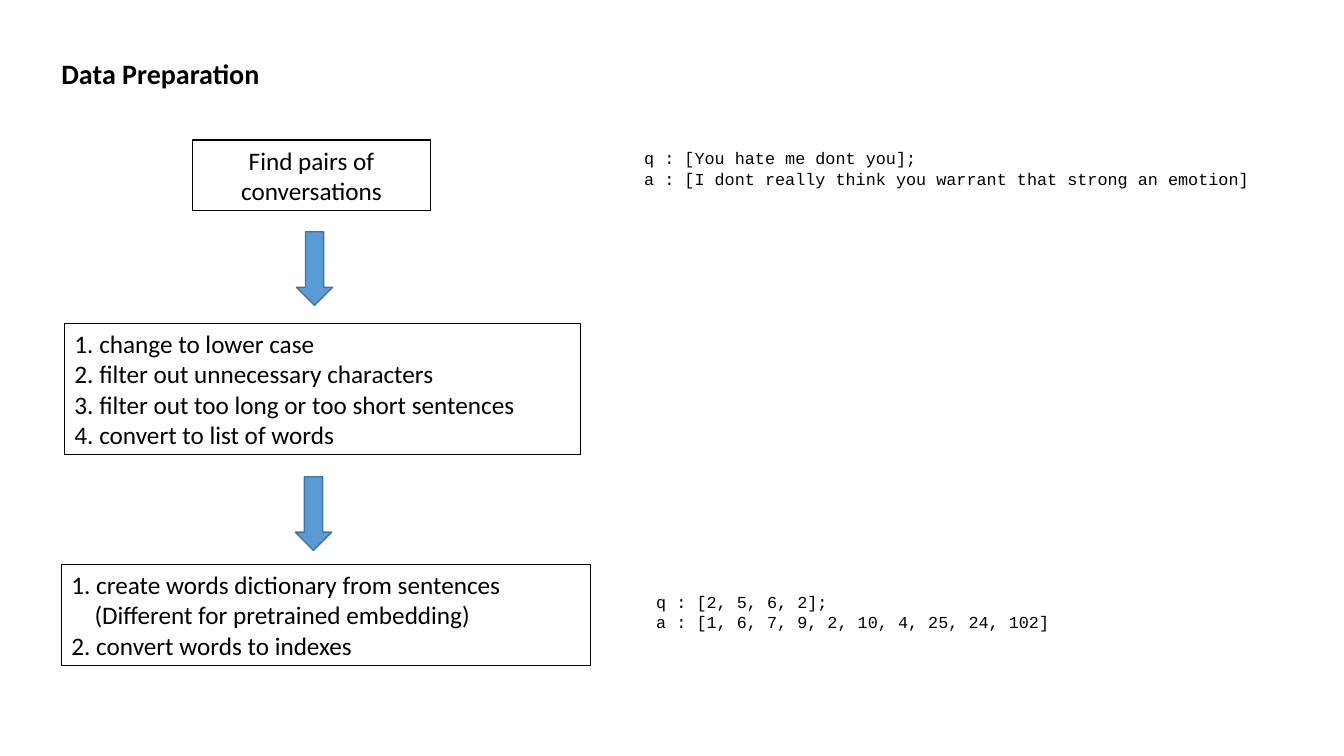
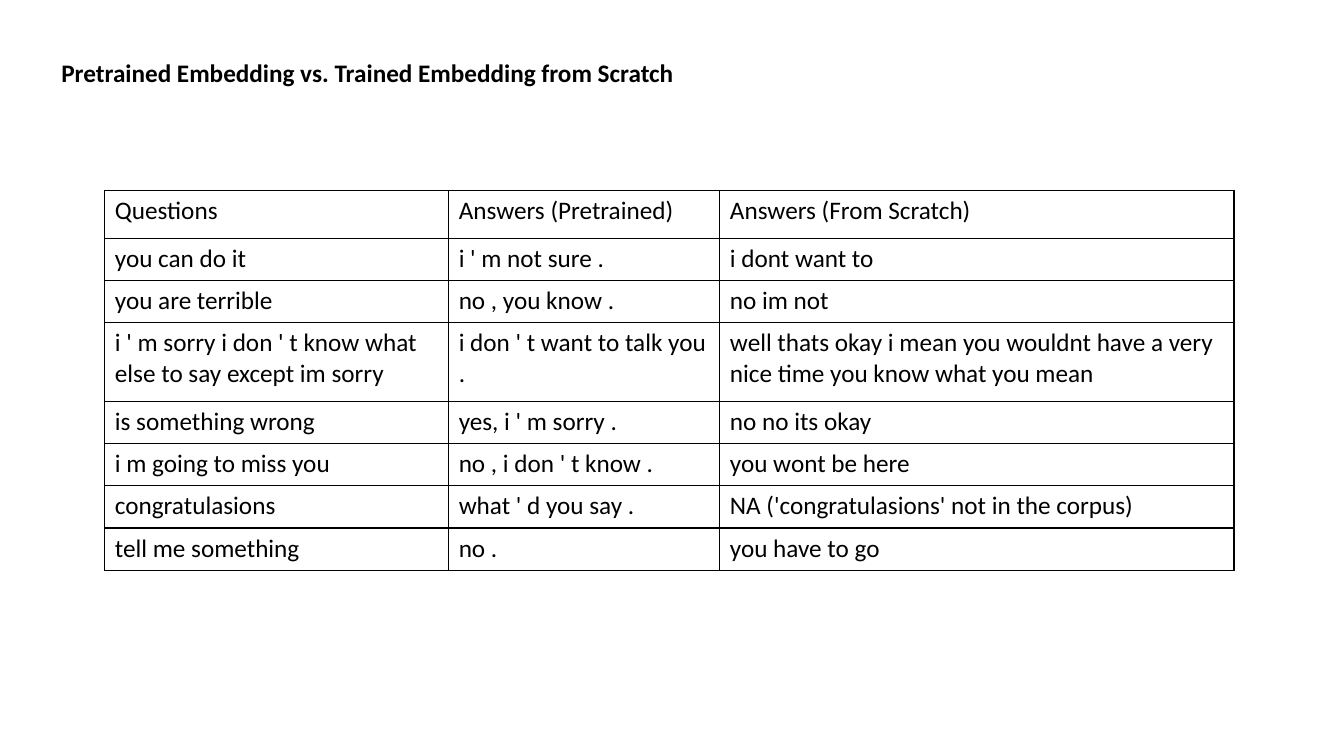
from lxml import etree
from pptx import Presentation
from pptx.dml.color import RGBColor
from pptx.enum.shapes import MSO_SHAPE
from pptx.enum.text import MSO_ANCHOR, MSO_AUTO_SIZE, PP_ALIGN
from pptx.oxml.ns import qn
from pptx.util import Inches, Pt

RECT, DOWN_ARROW = MSO_SHAPE.RECTANGLE, MSO_SHAPE.DOWN_ARROW
LEFT, CENTER = PP_ALIGN.LEFT, PP_ALIGN.CENTER
TOP, GROW = MSO_ANCHOR.TOP, MSO_AUTO_SIZE.SHAPE_TO_FIT_TEXT

COLORS = {"ink": "000000", "paper": "FFFFFF",
          "arrow": "5B9BD5", "arrow_edge": "43739E"}
BODY, CODE = "Calibri", "Courier New"
STEP = 0.1  # inches in one column or row of the grid


def rgb(name):
    return RGBColor.from_string(COLORS[name])


def grid(*counts):
    return [Inches(n * STEP) for n in counts]


class Deck:
    """Shared style and the slide being filled."""

    def __init__(self):
        self.prs = Presentation()
        self.prs.slide_width, self.prs.slide_height = Inches(13.33), Inches(7.5)
        self.s = None

    def slide(self, title, size, row, width):
        self.s = self.prs.slides.add_slide(self.prs.slide_layouts[6])
        self.text((5.1, row, width, 4.2), [title], size=size, bold=True)

    def set_lines(self, tf, lines, size=18, font=BODY, bold=False, align=LEFT):
        tf.word_wrap = True
        tf.text = "\n".join(lines)
        for p in tf.paragraphs:
            p.alignment = align
            for r in p.runs:
                r.font.size, r.font.name, r.font.bold = Pt(size), font, bold
                r.font.color.rgb = rgb("ink")

    def text(self, at, lines, **style):
        tf = self.s.shapes.add_textbox(*grid(*at)).text_frame
        self.set_lines(tf, lines, **style)
        tf.auto_size = GROW

    def shape(self, kind, at, fill, line):
        sp = self.s.shapes.add_shape(kind, *grid(*at))
        sp.shadow.inherit = False
        sp.fill.solid()
        sp.fill.fore_color.rgb = rgb(fill)
        sp.line.color.rgb = rgb(line)
        sp.line.width = Pt(1)
        return sp

    def box(self, at, lines, align=LEFT):
        tf = self.shape(RECT, at, "paper", "ink").text_frame
        self.set_lines(tf, lines, align=align)
        tf.vertical_anchor = TOP
        return tf

    def arrow(self, col, row):
        self.shape(DOWN_ARROW, (col, row, 3.6, 7.3), "arrow", "arrow_edge")

    def border(self, cell):
        props = cell._tc.get_or_add_tcPr()
        for i, side in enumerate(("lnL", "lnR", "lnT", "lnB")):
            ln = etree.Element(qn("a:" + side), w=str(Pt(1)))
            fill = etree.SubElement(ln, qn("a:solidFill"))
            etree.SubElement(fill, qn("a:srgbClr"), val=COLORS["ink"])
            props.insert(i, ln)

    def table(self, left, top, cols, rows, data):
        at = grid(left, top, sum(cols), sum(rows))
        table = self.s.shapes.add_table(len(rows), len(cols), *at).table
        for col, width in zip(table.columns, grid(*cols)):
            col.width = width
        for row, height, values in zip(table.rows, grid(*rows), data):
            row.height = height
            for cell, value in zip(row.cells, values):
                self.set_lines(cell.text_frame, [value])
                cell.fill.solid()
                cell.fill.fore_color.rgb = rgb("paper")
                self.border(cell)


def preparation(deck):
    deck.slide("Data Preparation", 20, 5.1, 26.2)
    # Steps
    deck.box((19.1, 13.9, 23.6, 7), ["Find pairs of conversations"], CENTER)
    deck.box((6.4, 32.1, 51.2, 13), [
        "1. change to lower case",
        "2. filter out unnecessary characters",
        "3. filter out too long or too short sentences",
        "4. convert to list of words"])
    tf = deck.box((6.1, 56, 52.5, 10), [
        "1. create words dictionary from sentences",
        "(Different for pretrained embedding)",
        "2. convert words to indexes"])
    tf.paragraphs[1]._p.get_or_add_pPr().set("marL", str(Inches(0.23)))
    # Arrows between the steps
    for col, row in ((29.4, 23), (29.3, 47.3)):
        deck.arrow(col, row)
    # Sample data beside the first and last step
    for col, row, lines in (
            (62.9, 14.2, [
                "q : [You hate me dont you];",
                "a : [I dont really think you warrant that strong an emotion]"]),
            (64.1, 58.2, [
                "q : [2, 5, 6, 2];",
                "a : [1, 6, 7, 9, 2, 10, 4, 25, 24, 102]"])):
        deck.text((col, row, 62.8, 7), lines, size=12, font=CODE)


def comparison(deck):
    deck.slide("Pretrained Embedding vs. Trained Embedding from Scratch",
               18, 5.2, 70.1)
    # Answers of both models
    deck.table(10.4, 18.9, (34.1, 26.9, 51),
               (4.8, 4.1, 4.2, 7.8, 4.2, 4.2, 4.2, 4.2), [
        ("Questions", "Answers (Pretrained)", "Answers (From Scratch)"),
        ("you can do it", "i ' m not sure .", "i dont want to"),
        ("you are terrible", "no , you know .", "no im not"),
        ("i ' m sorry i don ' t know what else to say except im sorry",
         "i don ' t want to talk you .",
         "well thats okay i mean you wouldnt have a very nice time "
         "you know what you mean"),
        ("is something wrong", "yes, i ' m sorry .", "no no its okay"),
        ("i m going to miss you", "no , i don ' t know .", "you wont be here"),
        ("congratulasions", "what ' d you say .",
         "NA ('congratulasions' not in the corpus)"),
        ("tell me something", "no .", "you have to go")])


def main():
    deck = Deck()
    preparation(deck)
    comparison(deck)
    deck.prs.save("out.pptx")


if __name__ == "__main__":
    main()
